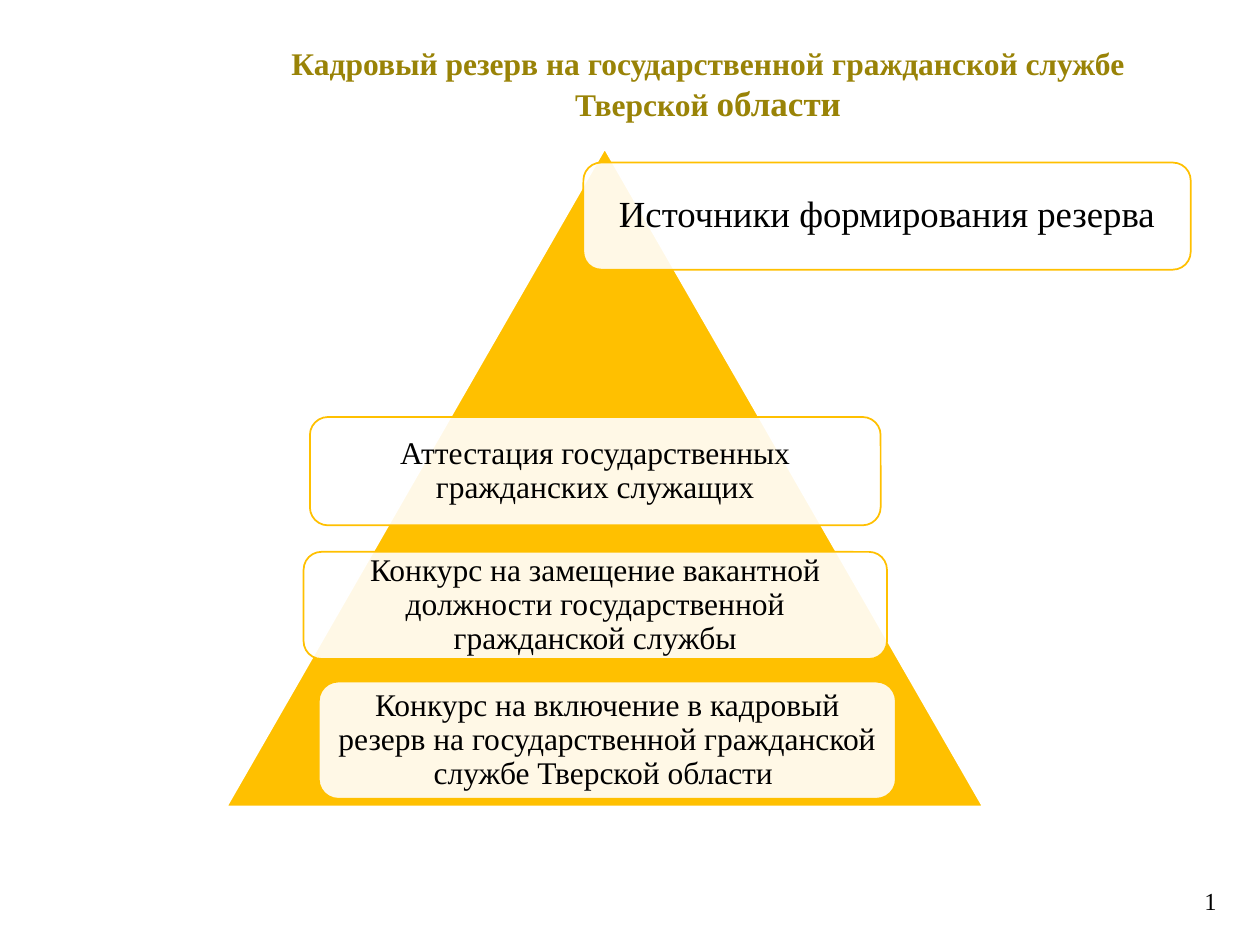
from lxml import etree
from pptx import Presentation
from pptx.dml.color import RGBColor
from pptx.enum.shapes import MSO_SHAPE as Preset
from pptx.enum.text import MSO_ANCHOR as Anchor, PP_ALIGN as Align
from pptx.oxml.ns import qn
from pptx.util import Inches, Pt

GOLD, OLIVE, WHITE, BLACK = "FFC000", "998307", "FFFFFF", "000000"


def paint(color_format, color):
    """Set a fill, line or font colour from a hex string."""
    color_format.rgb = RGBColor.from_string(color)


def write(shape, *runs, color=BLACK, bold=False, align=Align.CENTER,
          anchor=Anchor.MIDDLE, inset=None, spacing=None):
    """Write (text, size) runs as one paragraph in a shape."""
    frame = shape.text_frame
    frame.word_wrap = True
    frame.vertical_anchor = anchor
    if inset is not None:
        frame.margin_left = frame.margin_right = Inches(inset)
        frame.margin_top = frame.margin_bottom = Inches(inset)
    paragraph = frame.paragraphs[0]
    paragraph.alignment = align
    if spacing:
        paragraph.line_spacing = spacing
    for text, size in runs:
        run = paragraph.add_run()
        run.text = text
        run.font.name = "Times New Roman"
        run.font.size = Pt(size)
        run.font.bold = bold
        paint(run.font.color, color)


presentation = Presentation()
presentation.slide_width, presentation.slide_height = Inches(10), Inches(7.5)
slide = presentation.slides.add_slide(presentation.slide_layouts[6])
shapes = slide.shapes

title = shapes.add_textbox(Inches(1.78), Inches(0.24), Inches(7.68), Inches(0.85))
write(title, ("Кадровый резерв на государственной гражданской службе Тверской ", 18),
      ("области", 20), color=OLIVE, bold=True)

page_number = shapes.add_textbox(Inches(9.46), Inches(6.98), Inches(0.41), Inches(0.34))
write(page_number, ("1", 14), align=Align.LEFT, anchor=Anchor.TOP)

pyramid = shapes.add_shape(Preset.ISOSCELES_TRIANGLE,
                           Inches(1.8), Inches(1.18), Inches(6), Inches(5.22))
pyramid.shadow.inherit = False
pyramid.fill.solid()
paint(pyramid.fill.fore_color, GOLD)
paint(pyramid.line.color, WHITE)
pyramid.line.width = Pt(1)

# left, top, width, height, text size, inset, text
cards = [
    (2.41, 4.38, 4.63, 0.85, 18, 0.07,
     "Конкурс на замещение вакантной должности государственной гражданской службы"),
    (2.53, 5.41, 4.58, 0.93, 18, 0.07,
     "Конкурс на включение в кадровый резерв на государственной гражданской "
     "службе Тверской области "),
    (2.46, 3.31, 4.53, 0.86, 18, 0.07,
     "Аттестация государственных гражданских служащих"),
    (4.63, 1.29, 4.82, 0.85, 21, 0.09, "Источники формирования резерва"),
]
for left, top, width, height, size, inset, text in cards:
    card = shapes.add_shape(Preset.ROUNDED_RECTANGLE, Inches(left), Inches(top),
                            Inches(width), Inches(height))
    card.shadow.inherit = False
    card.fill.solid()
    paint(card.fill.fore_color, WHITE)
    fill_color = card.fill._xPr.find(qn("a:solidFill"))[0]
    etree.SubElement(fill_color, qn("a:alpha"), val="90000")
    paint(card.line.color, GOLD)
    card.line.width = Pt(1)
    write(card, (text, size), inset=inset, spacing=0.9)

presentation.save("out.pptx")
